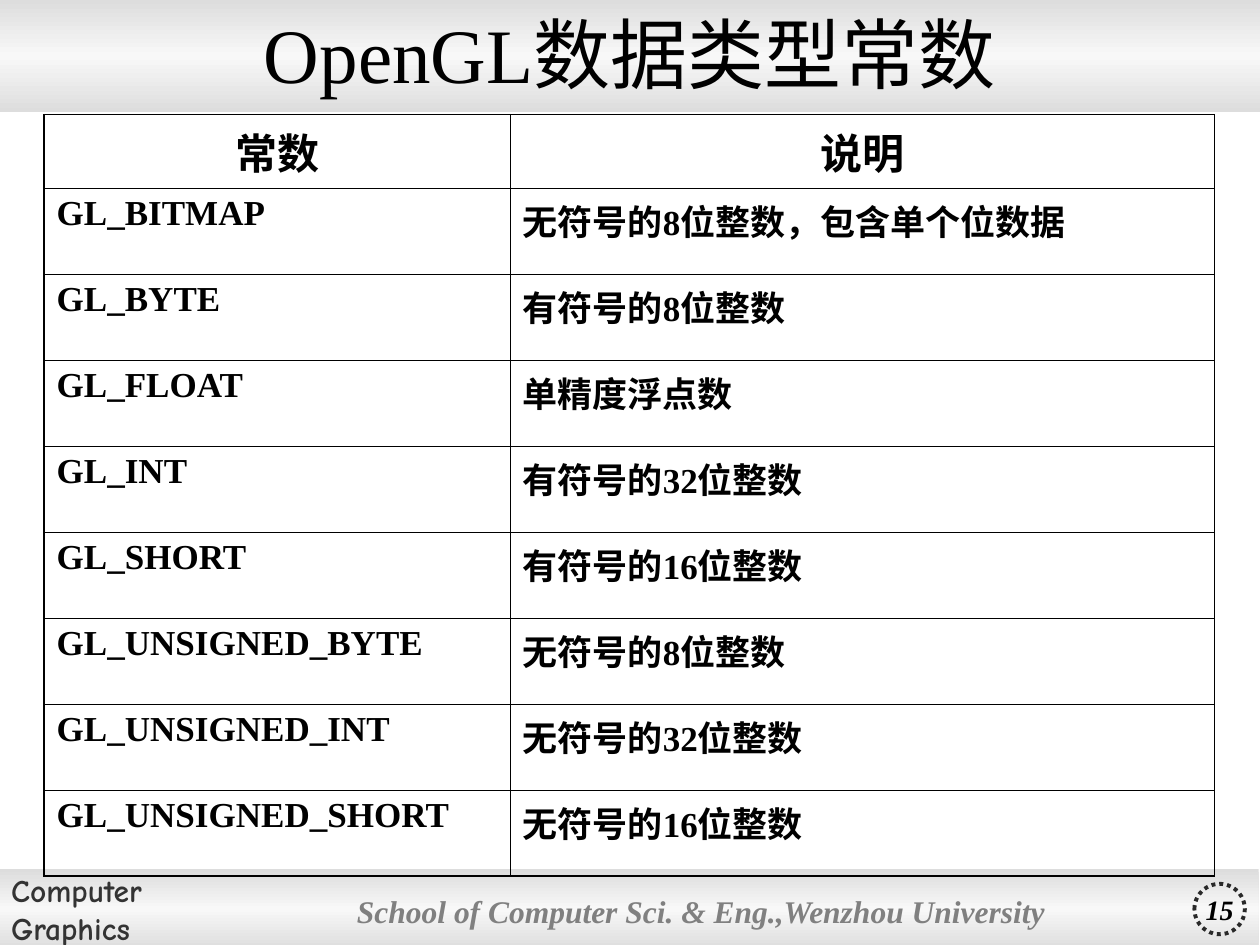
from copy import deepcopy

from lxml.etree import SubElement
from pptx import Presentation
from pptx.dml.color import RGBColor
from pptx.enum.dml import MSO_LINE
from pptx.enum.shapes import MSO_SHAPE
from pptx.enum.text import MSO_ANCHOR, MSO_AUTO_SIZE, PP_ALIGN
from pptx.oxml.ns import qn
from pptx.util import Inches, Pt

WIDTH, HEIGHT = 10, 7.5
SERIF = "Times New Roman"
HEADINGS = ("常数", "说明")
CONSTANTS = (
    ("GL_BITMAP", "无符号的8位整数，包含单个位数据"),
    ("GL_BYTE", "有符号的8位整数"),
    ("GL_FLOAT", "单精度浮点数"),
    ("GL_INT", "有符号的32位整数"),
    ("GL_SHORT", "有符号的16位整数"),
    ("GL_UNSIGNED_BYTE", "无符号的8位整数"),
    ("GL_UNSIGNED_INT", "无符号的32位整数"),
    ("GL_UNSIGNED_SHORT", "无符号的16位整数"),
)


def color(value):
    """Turn a hex string into a colour."""
    return RGBColor.from_string(value)


def write(frame, lines, size, shade="000000", face=SERIF, bold=True,
          italic=False, align=PP_ALIGN.LEFT):
    """Write one paragraph per line in a single style."""
    for index, line in enumerate(lines):
        para = frame.add_paragraph() if index else frame.paragraphs[0]
        para.alignment = align
        span = para.add_run()
        span.text = line
        font = span.font
        font.name, font.size, font.bold, font.italic = face, Pt(size), bold, italic
        font.color.rgb = color(shade)


def add_plain(page, kind, box):
    """Add a shape without fill, line or shadow, its text in the middle."""
    shape = page.shapes.add_shape(kind, *map(Inches, box))
    shape.shadow.inherit = False
    shape.fill.background()
    shape.line.fill.background()
    shape.text_frame.vertical_anchor = MSO_ANCHOR.MIDDLE
    return shape


def add_band(page, box):
    """Add a grey band that is lightest along its middle."""
    band = add_plain(page, MSO_SHAPE.RECTANGLE, box)
    band.fill.gradient()
    band.fill.gradient_angle = 90
    stop_list = next(band.element.iter(qn("a:gsLst")))
    stop_list.append(deepcopy(stop_list[-1]))
    stops = zip(band.fill.gradient_stops, (0, 0.5, 1), ("DDDDDD", "F8F8F8", "DDDDDD"))
    for stop, position, shade in stops:
        stop.position = position
        stop.color.rgb = color(shade)
    return band


def add_footer(page, box):
    """Add the footer band with course, school and page number."""
    left, top, width, height = box
    band = add_band(page, box)
    write(band.text_frame, ("Computer", "Graphics"), 18, "333333", "Comic Neue")

    school = add_plain(page, MSO_SHAPE.ROUNDED_RECTANGLE,
                       (left + 0.279 * width, top, 0.6 * width, height + 0.03))
    school.adjustments[0] = 0.02
    frame = school.text_frame
    frame.margin_left = frame.margin_right = Inches(0.05)
    frame.margin_top = frame.margin_bottom = Inches(0.02)
    write(frame, ("School of Computer Sci. & Eng.,Wenzhou University",),
          18, "808080", italic=True)

    side = 0.4
    badge = add_plain(page, MSO_SHAPE.OVAL,
                      (left + 0.949 * width, top + (height - side) / 2, side, side))
    badge.line.color.rgb = color("292929")
    badge.line.width = Pt(2.25)
    badge.line.dash_style = MSO_LINE.ROUND_DOT
    badge.text_frame.word_wrap = False
    write(badge.text_frame, ("15",), 16, italic=True, align=PP_ALIGN.CENTER)


def set_borders(cell, outer_sides):
    """Rule a cell in black, heavier on the table's outer sides."""
    properties = cell._tc.get_or_add_tcPr()
    for index, side in enumerate("LRTB"):
        points = 1.08 if side in outer_sides else 0.45
        line = SubElement(properties, qn(f"a:ln{side}"), w=str(Pt(points)))
        properties.remove(line)
        properties.insert(index, line)
        fill = SubElement(line, qn("a:solidFill"))
        SubElement(fill, qn("a:srgbClr"), val="000000")


def add_constants(page, box):
    """Add the table of constants and their meanings."""
    rows = (HEADINGS, *CONSTANTS)
    left, top, width, height = box
    table = page.shapes.add_table(len(rows), 2, *map(Inches, box)).table
    table.first_row = table.horz_banding = False
    for column, share in zip(table.columns, (0.398, 0.602)):
        column.width = Inches(share * width)
    heading_height = 0.52
    for index, values in enumerate(rows):
        heading = index == 0
        body_height = (height - heading_height) / len(CONSTANTS)
        table.rows[index].height = Inches(heading_height if heading else body_height)
        ends = ("T" if heading else "") + ("B" if index == len(CONSTANTS) else "")
        for position, value in enumerate(values):
            cell = table.cell(index, position)
            cell.fill.background()
            set_borders(cell, ends + "LR"[position])
            write(cell.text_frame, (value,), 24 if heading else 20,
                  align=PP_ALIGN.CENTER if heading else PP_ALIGN.LEFT)


def place_title(page, box):
    """Place the title in front of its band."""
    title = page.shapes.title
    title.left, title.top, title.width, title.height = map(Inches, box)
    frame = title.text_frame
    frame.word_wrap = True
    frame.auto_size = MSO_AUTO_SIZE.NONE
    frame.vertical_anchor = MSO_ANCHOR.MIDDLE
    write(frame, ("OpenGL数据类型常数",), 44, bold=False, align=PP_ALIGN.CENTER)
    title.element.getparent().append(title.element)


def main():
    """Build the slide and save it."""
    deck = Presentation()
    deck.slide_width, deck.slide_height = Inches(WIDTH), Inches(HEIGHT)
    page = deck.slides.add_slide(deck.slide_layouts[5])
    add_footer(page, (-0.01, 0.92 * HEIGHT, WIDTH, 0.63))
    add_band(page, (0, 0, WIDTH, 0.89))
    add_constants(page, (0.35, 0.91, 9.29, 5.98))
    place_title(page, (0, -0.03, WIDTH, 0.9))
    deck.save("out.pptx")


if __name__ == "__main__":
    main()
